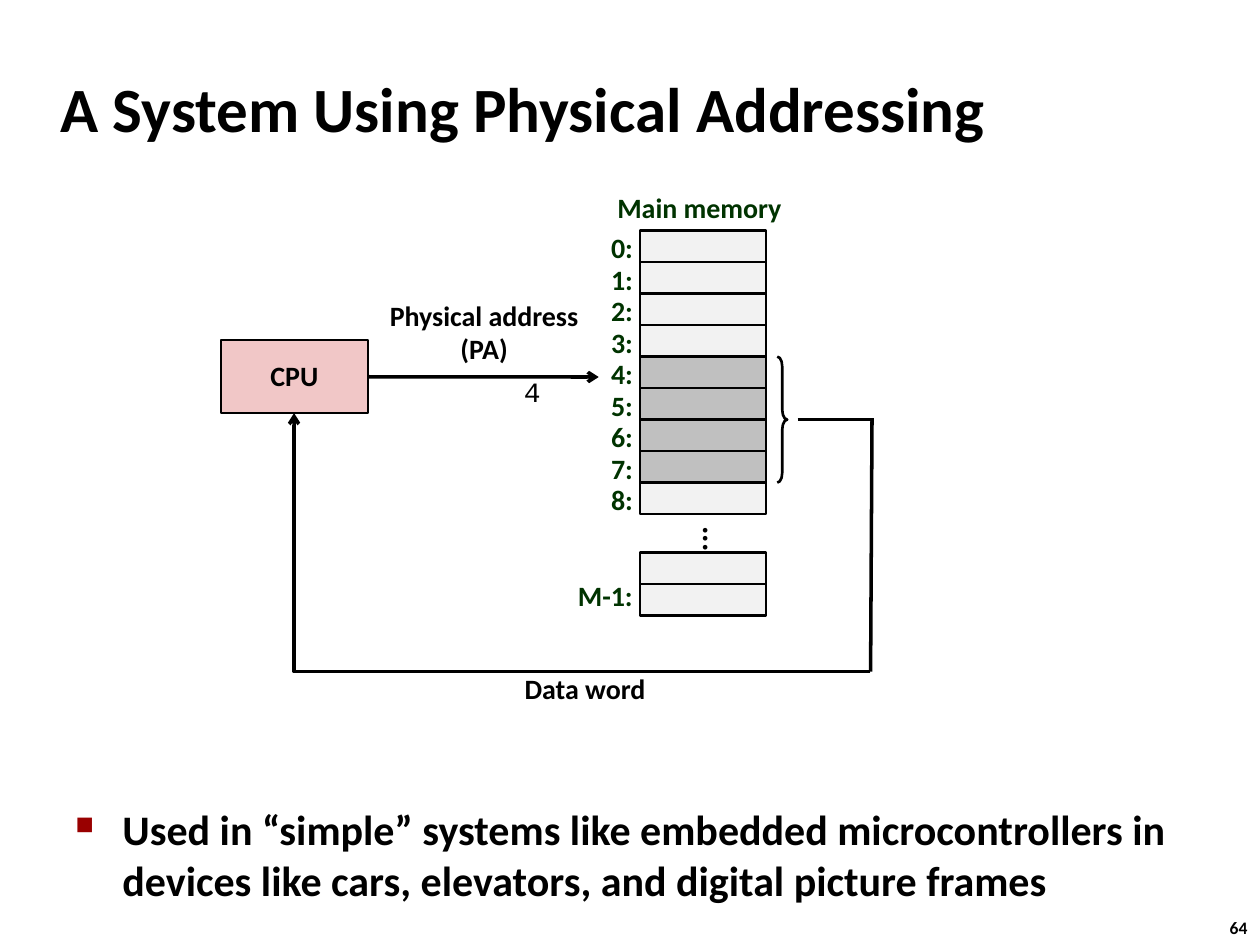
from lxml import etree
from pptx import Presentation
from pptx.dml.color import RGBColor
from pptx.enum.shapes import MSO_CONNECTOR, MSO_SHAPE
from pptx.enum.text import MSO_ANCHOR, MSO_AUTO_SIZE, PP_ALIGN
from pptx.oxml.ns import qn
from pptx.util import Cm, Pt

RECT, BRACE = MSO_SHAPE.RECTANGLE, MSO_SHAPE.RIGHT_BRACE
STRAIGHT, ELBOW = MSO_CONNECTOR.STRAIGHT, MSO_CONNECTOR.ELBOW
TOP, MIDDLE = MSO_ANCHOR.TOP, MSO_ANCHOR.MIDDLE
LEFT, CENTER = PP_ALIGN.LEFT, PP_ALIGN.CENTER
FIT, FIXED = MSO_AUTO_SIZE.SHAPE_TO_FIT_TEXT, MSO_AUTO_SIZE.NONE

BLACK, GREEN, BULLET = "000000", "003300", "990000"
FREE, USED, CPU_FILL = "F2F2F2", "C0C0C0", "F1C7C7"

# Memory column, in cm
ROW = 2.54 / 4
MEM_LEFT, MEM_TOP, MEM_WIDTH = 12.9, 4.65, 2.54
WORD = range(4, 8)


def rgb(value):
    return RGBColor.from_string(value)


def sub(parent, tag, **attrs):
    return etree.SubElement(parent, qn(tag), **attrs)


class Drawing:
    font = "Calibri"

    def __init__(self, slide):
        self.slide = slide

    def add_lines(self, sp, lines, size=16, color=BLACK, bold=True, font=None,
                  align=LEFT, anchor=TOP, spacing=None, wrap=False, fit=FIXED):
        tf = sp.text_frame
        tf.word_wrap, tf.auto_size, tf.vertical_anchor = wrap, fit, anchor
        for i, line in enumerate(lines):
            p = tf.add_paragraph() if i else tf.paragraphs[0]
            p.alignment = align
            if spacing:
                p.line_spacing = spacing
            r = p.add_run()
            r.text = line
            r.font.name, r.font.size, r.font.bold = font or self.font, Pt(size), bold
            r.font.color.rgb = rgb(color)

    def text(self, box, *lines, **style):
        sp = self.slide.shapes.add_textbox(*map(Cm, box))
        self.add_lines(sp, lines, **style)
        return sp

    def label(self, box, *lines, **style):
        return self.text(box, *lines, **{"fit": FIT, "spacing": 0.88, "color": GREEN, **style})

    def bullet(self, box, line, **style):
        sp = self.text(box, line, wrap=True, **style)
        pPr = sp.text_frame.paragraphs[0]._p.get_or_add_pPr()
        pPr.set("marL", str(Cm(0.95)))
        pPr.set("indent", str(-Cm(0.95)))
        sub(sub(pPr, "a:buClr"), "a:srgbClr", val=BULLET)
        sub(pPr, "a:buSzPct", val="60000")
        sub(pPr, "a:buChar", char="■")

    def shape(self, kind, box, fill=None, width=1.5):
        sp = self.slide.shapes.add_shape(kind, *map(Cm, box))
        sp.shadow.inherit = False
        if fill:
            sp.fill.solid()
            sp.fill.fore_color.rgb = rgb(fill)
        else:
            sp.fill.background()
        sp.line.color.rgb = rgb(BLACK)
        sp.line.width = Pt(width)
        return sp

    def line(self, start, end, kind=STRAIGHT, arrow=False):
        cn = self.slide.shapes.add_connector(kind, *map(Cm, start + end))
        cn.line.color.rgb = rgb(BLACK)
        cn.line.width = Pt(2)
        spPr = cn._element.spPr
        if arrow:
            sub(spPr.find(qn("a:ln")), "a:tailEnd", type="arrow")
        sub(spPr, "a:effectLst")
        return cn


def main():
    prs = Presentation()
    prs.slide_width, prs.slide_height = Cm(25.4), Cm(19.05)
    d = Drawing(prs.slides.add_slide(prs.slide_layouts[6]))

    # Title, bullet and slide number
    d.text((0.97, 1.07, 24.2, 2.18), "A System Using Physical Addressing",
           size=36, anchor=MIDDLE, wrap=True)
    d.bullet((1.27, 16.08, 23.09, 2.44),
             "Used in “simple” systems like embedded microcontrollers in "
             "devices like cars, elevators, and digital picture frames", size=24)
    d.text((24.54, 18.36, 0.94, 0.69), "64", size=10, fit=FIT)

    # Main memory
    d.label((12.17, 3.81, 3.86, 0.84), "Main memory", align=CENTER)
    for i in range(9):
        y = MEM_TOP + i * ROW
        d.shape(RECT, (MEM_LEFT, y, MEM_WIDTH, ROW), USED if i in WORD else FREE)
        d.label((12.07, y - 0.03, 0.94, 0.84), f"{i}:")
    dots = d.text((13.13, 10.36, 2.54, 0.64), "...", size=18,
                  align=CENTER, anchor=MIDDLE, spacing=0.98)
    dots.text_frame._txBody.bodyPr.set("vert", "eaVert")
    for i in range(2):
        d.shape(RECT, (MEM_LEFT, 11.14 + i * ROW, MEM_WIDTH, ROW), FREE)
    d.label((11.4, 11.63, 1.63, 0.84), "M-1:")

    # CPU and the physical address it sends
    cpu = d.shape(RECT, (4.45, 6.86, 2.97, 1.47), CPU_FILL, width=1)
    centred = {"align": CENTER, "anchor": MIDDLE, "spacing": 0.98}
    d.add_lines(cpu, ["CPU"], **centred)
    d.label((7.59, 5.92, 4.34, 1.6), "Physical address", "(PA)", color=BLACK, **centred)
    d.line((7.42, 7.6), (12.07, 7.6), arrow=True).begin_connect(cpu, 3)
    d.text((10.31, 7.42, 0.86, 0.94), "4", font="Courier New", bold=False, fit=FIT)

    # Data word returned to the CPU
    brace = d.shape(BRACE, (15.67, MEM_TOP + WORD[0] * ROW, 0.2, len(WORD) * ROW))
    brace.adjustments[0] = 1
    d.line((16.08, 8.46), (17.58, 8.46))
    d.line((17.58, 8.43), (17.55, 13.54))
    back = d.line((17.55, 13.54), (5.93, 8.33), ELBOW, arrow=True)
    guides = back._element.spPr.find(qn("a:prstGeom")).find(qn("a:avLst"))
    sub(guides, "a:gd", name="adj1", fmla="val 100000")
    d.label((10.31, 13.44, 2.97, 0.94), "Data word", color=BLACK, **centred)

    prs.save("out.pptx")


if __name__ == "__main__":
    main()
